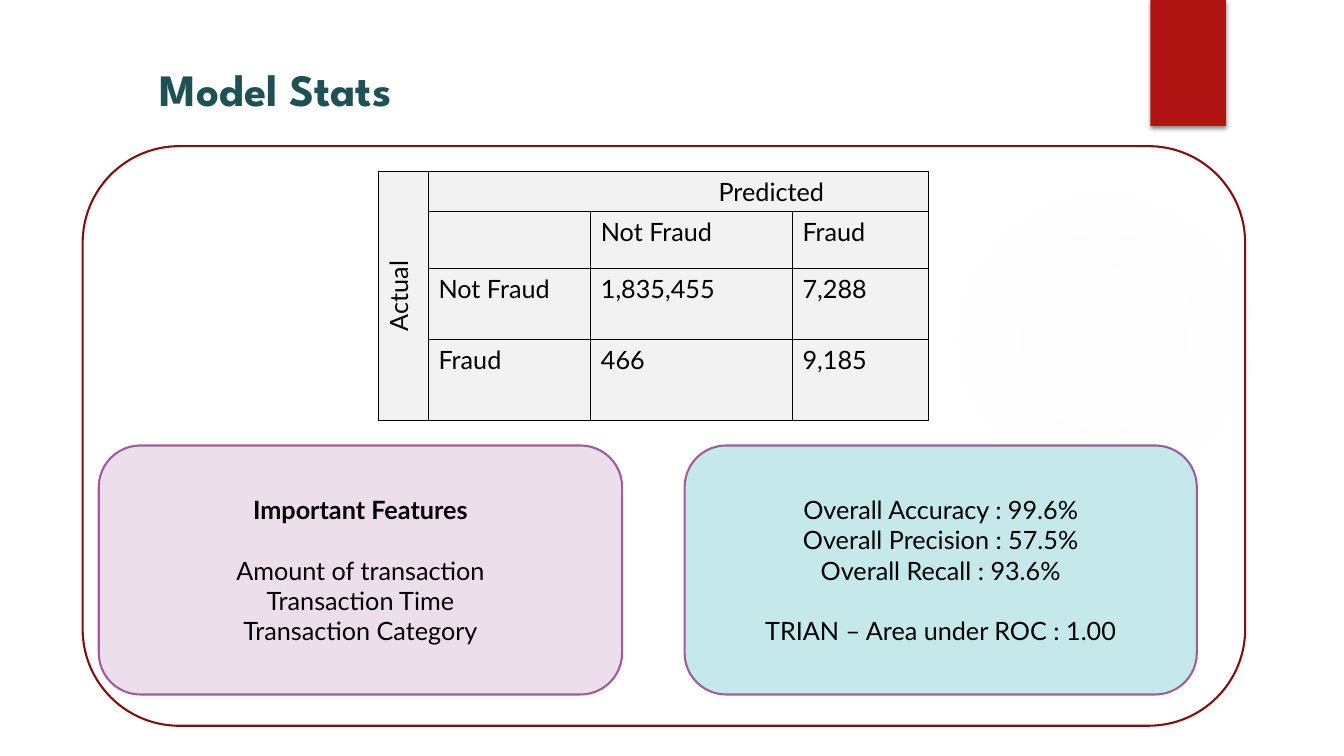
from dataclasses import dataclass

from lxml import etree
from pptx import Presentation
from pptx.dml.color import RGBColor
from pptx.enum.shapes import MSO_SHAPE
from pptx.enum.text import MSO_ANCHOR, MSO_AUTO_SIZE, PP_ALIGN
from pptx.oxml.ns import qn
from pptx.util import Inches, Pt

ROUNDED, RECTANGLE, OVAL = MSO_SHAPE.ROUNDED_RECTANGLE, MSO_SHAPE.RECTANGLE, MSO_SHAPE.OVAL
MIDDLE, BOTTOM = MSO_ANCHOR.MIDDLE, MSO_ANCHOR.BOTTOM
CENTER, LEFT = PP_ALIGN.CENTER, PP_ALIGN.LEFT
NO_AUTOFIT = MSO_AUTO_SIZE.NONE

COLORS = {
    "title": "1E5155", "text": "000000", "ribbon": "B01513", "frame": "82100E",
    "features": "ECDFEB", "metrics": "C5E8EA", "card_line": "9E5E9B",
    "cell": "F2F2F2", "border": "000000", "glow": "F3F3F3", "shadow": "000000",
}
BODY_FONT, TITLE_FONT = "Lato", "League Spartan"
BODY_SIZE = 18
LINE_GAP = Pt(21.6)


@dataclass
class Box:
    left: float
    top: float
    width: float
    height: float
    kind: int = ROUNDED
    fill: str | None = None
    line: str | None = None


@dataclass
class Line:
    text: str
    bold: bool = False
    gap_before: bool = False


def rgb(name: str) -> RGBColor:
    return RGBColor.from_string(COLORS[name])


def set_font(paragraph, color: str = "text", name: str = BODY_FONT,
             size: int = BODY_SIZE, bold: bool = False) -> None:
    font = paragraph.font
    font.name, font.size, font.bold = name, Pt(size), bold
    font.color.rgb = rgb(color)


def add_box(slide, box: Box):
    shape = slide.shapes.add_shape(box.kind, Inches(box.left), Inches(box.top),
                                   Inches(box.width), Inches(box.height))
    shape.shadow.inherit = False
    if box.fill:
        shape.fill.solid()
        shape.fill.fore_color.rgb = rgb(box.fill)
    else:
        shape.fill.background()
    if box.line:
        shape.line.color.rgb = rgb(box.line)
        shape.line.width = Pt(1.5)
    else:
        shape.line.fill.background()
    return shape


def add_card(slide, box: Box, lines: list[Line]) -> None:
    frame = add_box(slide, box).text_frame
    frame.word_wrap = True
    frame.vertical_anchor = MIDDLE
    for index, line in enumerate(lines):
        paragraph = frame.add_paragraph() if index else frame.paragraphs[0]
        paragraph.text = line.text
        paragraph.alignment = CENTER
        if line.gap_before:
            paragraph.space_before = LINE_GAP
        set_font(paragraph, bold=line.bold)


def add_color(parent, name: str, alpha: int) -> None:
    color = etree.SubElement(parent, qn("a:srgbClr"), val=COLORS[name])
    etree.SubElement(color, qn("a:alpha"), val=str(alpha * 1000))


def add_ribbon(slide) -> None:
    ribbon = add_box(slide, Box(11.41, 0, 0.75, 1.25, RECTANGLE, "ribbon"))
    effects = ribbon._element.spPr.find(qn("a:effectLst"))
    shadow = etree.SubElement(effects, qn("a:outerShdw"), blurRad=str(Pt(3)),
                              dist=str(Pt(2)), dir=str(90 * 60000), rotWithShape="0")
    add_color(shadow, "shadow", 45)


def add_glow(slide) -> None:
    glow = add_box(slide, Box(9.41, 1.83, 3.08, 3.08, OVAL))
    properties = glow._element.spPr
    gradient = etree.Element(qn("a:gradFill"))
    stops = etree.SubElement(gradient, qn("a:gsLst"))
    for position, alpha in ((0, 7), (36, 6), (69, 0)):
        stop = etree.SubElement(stops, qn("a:gs"), pos=str(position * 1000))
        add_color(stop, "glow", alpha)
    circle = etree.SubElement(gradient, qn("a:path"), path="circle")
    etree.SubElement(circle, qn("a:fillToRect"), l="50000", t="50000", r="50000", b="50000")
    properties.replace(properties.find(qn("a:noFill")), gradient)


def format_cell(cell, text: str) -> None:
    properties = cell._tc.get_or_add_tcPr()
    for side in ("lnL", "lnR", "lnT", "lnB"):
        border = etree.SubElement(properties, qn(f"a:{side}"), w=str(Pt(1)))
        fill = etree.SubElement(border, qn("a:solidFill"))
        etree.SubElement(fill, qn("a:srgbClr"), val=COLORS["border"])
    cell.fill.solid()
    cell.fill.fore_color.rgb = rgb("cell")
    cell.text = text
    set_font(cell.text_frame.paragraphs[0])


def add_confusion_matrix(slide) -> None:
    rows = [
        ["Actual", "Predicted", "", ""],
        ["", "", "Not Fraud", "Fraud"],
        ["", "Not Fraud", "1,835,455", "7,288"],
        ["", "Fraud", "466", "9,185"],
    ]
    widths, heights = [0.5, 1.61, 2, 1.35], [0.4, 0.56, 0.71, 0.8]
    matrix = slide.shapes.add_table(len(rows), len(widths), Inches(3.75), Inches(1.7),
                                    Inches(sum(widths)), Inches(sum(heights))).table
    matrix.first_row = matrix.horz_banding = False
    for column, width in zip(matrix.columns, widths):
        column.width = Inches(width)
    for row, height in zip(matrix.rows, heights):
        row.height = Inches(height)
    for r, texts in enumerate(rows):
        for c, text in enumerate(texts):
            format_cell(matrix.cell(r, c), text)

    # Merged headings: rotated on the left, shifted right on top
    actual, predicted = matrix.cell(0, 0), matrix.cell(0, 1)
    actual.merge(matrix.cell(3, 0))
    predicted.merge(matrix.cell(0, 3))
    actual._tc.tcPr.set("vert", "vert270")
    predicted.margin_left = Inches(1.94)
    for heading in (actual, predicted):
        heading.text_frame.paragraphs[0].alignment = CENTER


def add_title(slide) -> None:
    title = slide.shapes.title
    title.left, title.top = Inches(1.48), Inches(0.48)
    title.width, title.height = Inches(10), Inches(0.72)
    frame = title.text_frame
    frame.text = "Model Stats"
    frame.auto_size = NO_AUTOFIT
    frame.vertical_anchor = BOTTOM
    heading = frame.paragraphs[0]
    heading.alignment = LEFT
    set_font(heading, "title", TITLE_FONT, 32, True)


def main() -> None:
    deck = Presentation()
    deck.slide_width, deck.slide_height = Inches(13.33), Inches(7.5)
    slide = deck.slides.add_slide(deck.slide_layouts[5])

    # Backdrop and title
    add_glow(slide)
    add_ribbon(slide)
    add_title(slide)

    # Features, outer frame, matrix and metrics
    add_card(slide, Box(0.98, 4.42, 5.19, 2.47, fill="features", line="card_line"), [
        Line("Important Features", bold=True),
        Line("Amount of transaction", gap_before=True),
        Line("Transaction Time"),
        Line("Transaction Category"),
    ])
    add_box(slide, Box(0.82, 1.45, 11.53, 5.75, line="frame"))
    add_confusion_matrix(slide)
    add_card(slide, Box(6.79, 4.42, 5.08, 2.47, fill="metrics", line="card_line"), [
        Line("Overall Accuracy : 99.6%"),
        Line("Overall Precision : 57.5%"),
        Line("Overall Recall : 93.6%"),
        Line("TRIAN – Area under ROC : 1.00", gap_before=True),
    ])

    deck.save("out.pptx")


if __name__ == "__main__":
    main()
